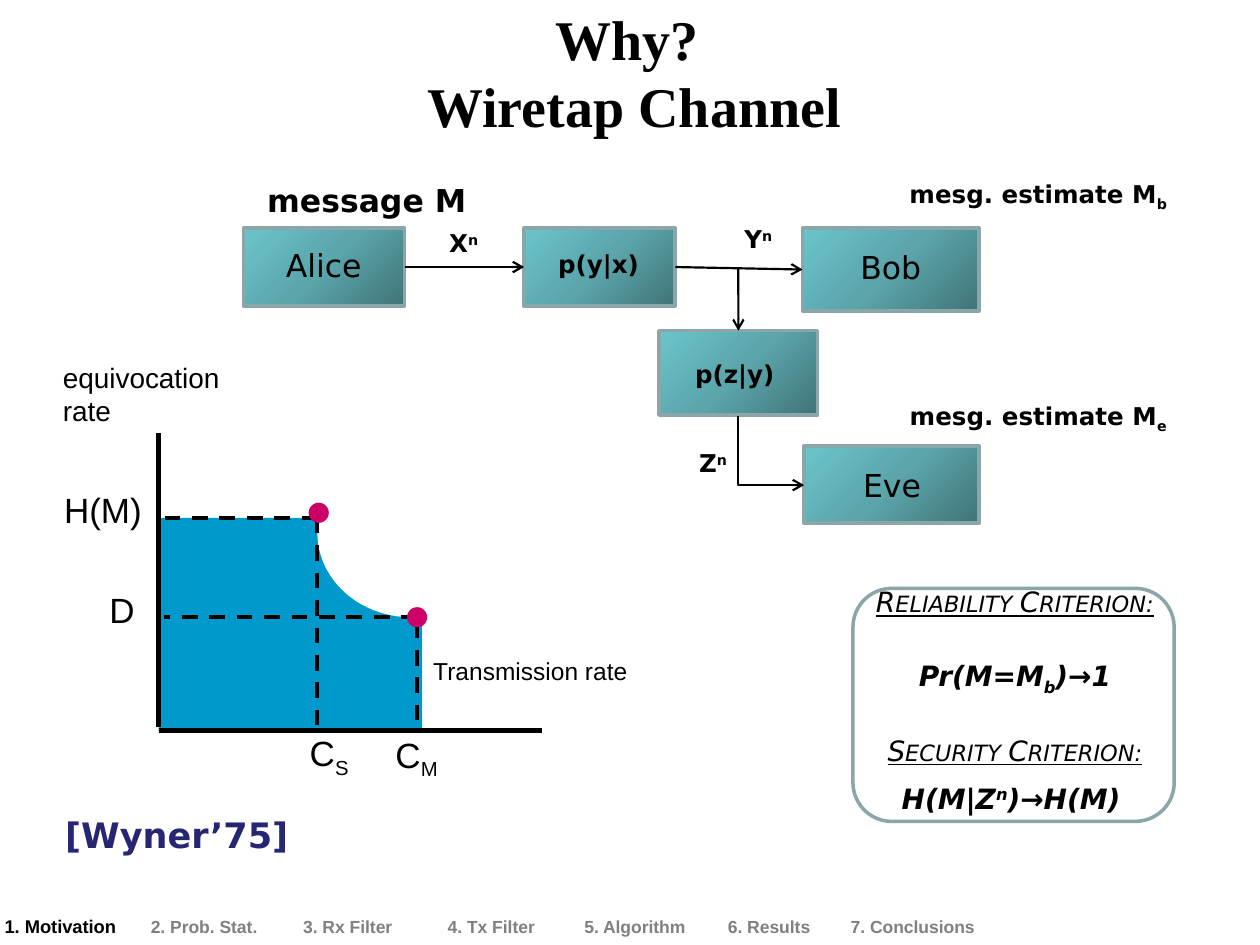
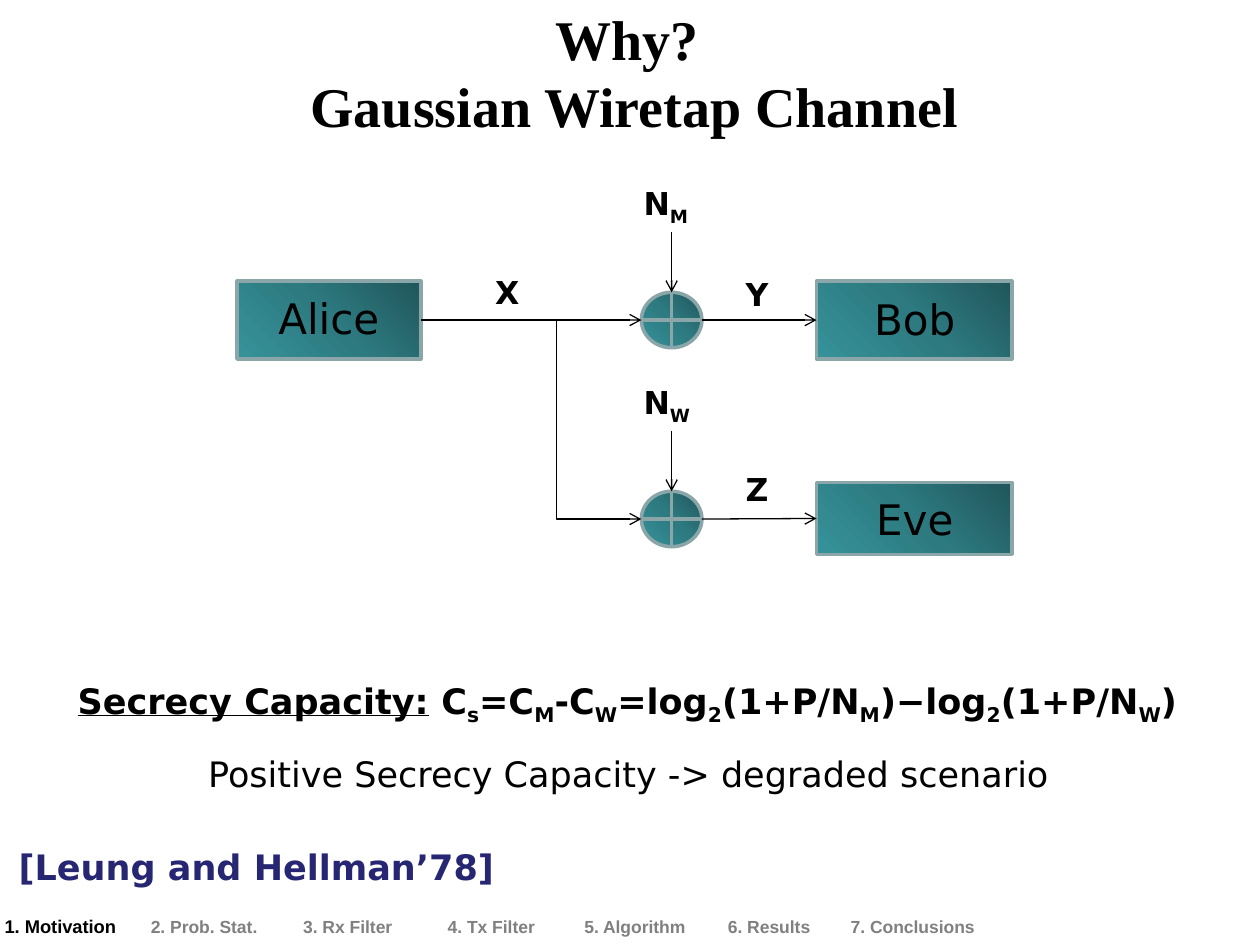
from lxml import etree
from pptx import Presentation
from pptx.dml.color import RGBColor
from pptx.enum.dml import MSO_LINE
from pptx.enum.shapes import MSO_CONNECTOR, MSO_SHAPE
from pptx.enum.text import MSO_ANCHOR, MSO_AUTO_SIZE, PP_ALIGN
from pptx.oxml.ns import qn
from pptx.util import Pt

LEFT, CENTER = PP_ALIGN.LEFT, PP_ALIGN.CENTER
TOP, MIDDLE = MSO_ANCHOR.TOP, MSO_ANCHOR.MIDDLE
FIT_TEXT = MSO_AUTO_SIZE.SHAPE_TO_FIT_TEXT
DASH = MSO_LINE.DASH
STRAIGHT, ELBOW = MSO_CONNECTOR.STRAIGHT, MSO_CONNECTOR.ELBOW
RECT, ROUND_RECT = MSO_SHAPE.RECTANGLE, MSO_SHAPE.ROUNDED_RECTANGLE
OVAL, SUM_NODE = MSO_SHAPE.OVAL, MSO_SHAPE.FLOWCHART_OR

# Connection sites of a rectangle
SITE_TOP, SITE_LEFT, SITE_RIGHT = 0, 1, 3

COLORS = {
    "black": "000000", "white": "FFFFFF", "gray": "808080",
    "outline": "8AA6A8", "citation": "262673",
    "region": "0099CC", "dot": "CC0066",
}
# Stops at 0, 50 and 100 percent
RADIAL_STOPS = ("407478", "5BA5AB", "6BC4CB")
LINEAR_STOPS = ("20565B", "2D7B81", "369299")

SANS, ARIAL, SERIF = "DejaVu Sans", "Arial", "Times New Roman"
SECTIONS = ("1. Motivation", "2. Prob. Stat.", "3. Rx Filter", "4. Tx Filter",
            "5. Algorithm", "6. Results", "7. Conclusions")
SECTION_WIDTHS = (82.08,) * 5 + (71.28, 92.88)


def sub(text):
    return text, -25000


def sup(text):
    return text, 30000


def color(name):
    return RGBColor.from_string(COLORS[name])


class SlideBuilder:
    """Holds the shared style and the slide being built."""

    def __init__(self, deck):
        self.deck = deck
        self.page = None

    def new_page(self, topic):
        self.page = self.deck.slides.add_slide(self.deck.slide_layouts[6])
        self.text(73.4, 0, 578.2, 82.1, ["Why? "], ["" + topic], size=32,
                  font=SERIF, bold=True, anchor=MIDDLE, fit=False)
        self.section_bar()

    def style(self, span, size, font, name, bold=False, italic=False):
        span.font.size = Pt(size)
        span.font.name = font
        span.font.color.rgb = color(name)
        span.font.bold = bold
        span.font.italic = italic

    def text(self, left, top, width, height, *lines, size=14, font=SANS,
             name="black", bold=False, italic=False, align=CENTER, anchor=TOP,
             wrap=True, fit=True, heading=False, small_caps=False):
        """Each line is a list of spans; heading underlines its first span."""
        box = self.page.shapes.add_textbox(Pt(left), Pt(top), Pt(width), Pt(height))
        frame = box.text_frame
        frame.word_wrap = wrap
        frame.vertical_anchor = anchor
        if fit:
            frame.auto_size = FIT_TEXT
        for number, spans in enumerate(lines):
            para = frame.add_paragraph() if number else frame.paragraphs[0]
            para.alignment = align
            for index, item in enumerate(spans):
                words, baseline = item if isinstance(item, tuple) else (item, 0)
                span = para.add_run()
                span.text = words
                self.style(span, size, font, name, bold, italic)
                if heading and index == 0:
                    span.font.underline = True
                properties = span._r.get_or_add_rPr()
                if baseline:
                    properties.set("baseline", str(baseline))
                if small_caps:
                    properties.set("cap", "small")

    def shape(self, kind, left, top, width, height, fill=None, outline=None):
        shape = self.page.shapes.add_shape(
            kind, Pt(left), Pt(top), Pt(width), Pt(height))
        shape.shadow.inherit = False
        if fill:
            shape.fill.solid()
            shape.fill.fore_color.rgb = color(fill)
        else:
            shape.fill.background()
        if outline:
            shape.line.color.rgb = color(outline)
            shape.line.width = Pt(2)
        else:
            shape.line.fill.background()
        return shape

    def block(self, left, top, width, height, kind=RECT, radial=False):
        """A diagram block with a gradient fill."""
        block = self.shape(kind, left, top, width, height, outline="outline")
        block.fill.gradient()
        gradient = block._element.spPr.find(qn("a:gradFill"))
        for child in list(gradient):
            gradient.remove(child)
        stops = etree.SubElement(gradient, qn("a:gsLst"))
        for index, value in enumerate(RADIAL_STOPS if radial else LINEAR_STOPS):
            stop = etree.SubElement(stops, qn("a:gs"), pos=str(index * 50000))
            etree.SubElement(stop, qn("a:srgbClr"), val=value)
        if radial:
            shade = etree.SubElement(gradient, qn("a:path"), path="circle")
            etree.SubElement(shade, qn("a:fillToRect"), l="100000", t="100000")
        else:
            etree.SubElement(gradient, qn("a:lin"), ang="8100000", scaled="0")
        return block

    def connector(self, kind, start, end, width, arrow=False, dash=None):
        line = self.page.shapes.add_connector(kind, *map(Pt, start + end))
        line.line.color.rgb = color("black")
        line.line.width = Pt(width)
        if dash:
            line.line.dash_style = dash
        if arrow:
            etree.SubElement(line.line._get_or_add_ln(), qn("a:tailEnd"), type="arrow")
        etree.SubElement(line._element.spPr, qn("a:effectLst"))
        return line

    def line(self, start, end, width, dash=None):
        self.connector(STRAIGHT, start, end, width, dash=dash)

    def arrow(self, start, end, width, source=None, target=None,
              target_site=SITE_LEFT):
        arrow = self.connector(STRAIGHT, start, end, width, arrow=True)
        if source is not None:
            arrow.begin_connect(source, SITE_RIGHT)
        if target is not None:
            arrow.end_connect(target, target_site)

    def down_then_right(self, start, end, width):
        """A one-bend arrow: a mirrored elbow turned by 270 degrees."""
        middle_x, middle_y = (start[0] + end[0]) / 2, (start[1] + end[1]) / 2
        half_run, half_drop = (end[0] - start[0]) / 2, (end[1] - start[1]) / 2
        elbow = self.connector(ELBOW, (middle_x + half_drop, middle_y - half_run),
                               (middle_x - half_drop, middle_y + half_run),
                               width, arrow=True)
        properties = elbow._element.spPr
        properties.find(qn("a:xfrm")).set("rot", "16200000")
        properties.find(qn("a:prstGeom")).set("prst", "bentConnector2")

    def section_bar(self):
        frame = self.page.shapes.add_table(
            1, len(SECTIONS), Pt(-6.5), Pt(520.6), Pt(sum(SECTION_WIDTHS)), Pt(20.9))
        table = frame.table
        table.first_row = table.horz_banding = False
        table.rows[0].height = Pt(20.9)
        for index, section in enumerate(SECTIONS):
            table.columns[index].width = Pt(SECTION_WIDTHS[index])
            cell = table.cell(0, index)
            cell.fill.background()
            para = cell.text_frame.paragraphs[0]
            para.alignment = CENTER
            span = para.add_run()
            span.text = section
            current = index == 0
            self.style(span, 10.5 if current else 10, ARIAL,
                       "black" if current else "gray", bold=True)


def build_wiretap(slide):
    slide.new_page("Wiretap Channel")

    # Channel blocks
    bob = slide.block(458.6, 130.3, 100.8, 47.5, radial=True)
    slide.block(459.4, 254.9, 100.1, 43.9, radial=True)
    main_channel = slide.block(299.5, 130.3, 86.4, 44.6, radial=True)
    alice = slide.block(139, 130.3, 92.2, 44.6, radial=True)
    tap_channel = slide.block(376.6, 189, 90.7, 48.2, radial=True)
    for left, top, person in ((118.8, 136.8, "Alice"), (442.8, 138.2, "Bob"),
                              (443.5, 262.8, "Eve")):
        slide.text(left, top, 132.5, 28.8, [person], size=18)
    for left, top, width, law in ((311.8, 139, 97.2, "p(y|x)"),
                                  (390.2, 201.6, 81.4, "p(z|y)")):
        slide.text(left, top, width, 24.5, [law], bold=True, align=LEFT)

    # Signal paths
    slide.arrow((231.2, 152.6), (299.5, 152.6), 1.25, alice, main_channel)
    slide.arrow((385.9, 152.6), (458.6, 154), 1.25, main_channel, bob)
    slide.arrow((421.9, 153.4), (421.9, 189), 1.25,
                target=tap_channel, target_site=SITE_TOP)
    slide.down_then_right((421.9, 237.6), (459.4, 277.2), 1.25)
    for left, top, signal in ((243.4, 126.7, "X"), (411.8, 124.6, "Y"),
                              (385.9, 252.7, "Z")):
        slide.text(left, top, 43.2, 24.5, [signal, sup("n")], bold=True)
    slide.text(124.6, 100.1, 169.9, 28.8, ["message M"], size=18, bold=True)
    for top, receiver in ((98.6, "b"), (225.4, "e")):
        slide.text(502.6, top, 181.4, 24.5,
                   ["mesg. estimate M", sub(receiver)], bold=True)

    # Criteria
    for top, height, criterion in ((330.5, 46, "Reliability Criterion:"),
                                   (415.4, 26.6, "Security Criterion:")):
        slide.text(489.6, top, 180.7, height, [criterion], size=16,
                   italic=True, heading=True, small_caps=True)
    for left, top, formula in (
            (489.6, 373, ["Pr(M=M", sub("b"), ")→1"]),
            (487.4, 442.8, ["H(M|Z", sup("n"), ")→H(M)"])):
        slide.text(left, top, 180.7, 26.6, formula, size=16, bold=True, italic=True)
    slide.shape(ROUND_RECT, 487.4, 336.2, 183.6, 133.2, outline="outline")
    slide.text(30.2, 461.5, 223.9, 31.7, ["[Wyner’75]"], size=20,
               name="citation", bold=True, align=LEFT)

    # Rate region: the white oval cuts the curved corner
    origin_x, secrecy_x, capacity_x = 90.7, 181.4, 238.3
    full_y, partial_y, base_y = 295.9, 352.8, 417.6
    slide.shape(RECT, origin_x, full_y, 150.5, base_y - full_y, fill="region")
    slide.line((origin_x, 247.7), (origin_x, 415.4), 3)
    slide.line((origin_x, base_y), (309.6, base_y), 3)
    slide.shape(OVAL, secrecy_x, 256.3, 108, 96.5, fill="white")
    for start, end in (((secrecy_x, full_y), (secrecy_x, 420.5)),
                       ((secrecy_x, full_y), (87.8, full_y)),
                       ((capacity_x, 355.7), (capacity_x, 414.7)),
                       ((capacity_x, partial_y), (93.6, partial_y))):
        slide.line(start, end, 2.25, DASH)
    for left, top in ((176.4, 287.3), (232.6, 347)):
        slide.shape(OVAL, left, top, 11.5, 11.5, fill="dot")

    # Graph labels
    for left, top, width, label in (
            (29.5, 275.8, 59, ["H(M)"]), (55.4, 332.6, 29.5, ["D"]),
            (169.9, 414.7, 37.4, ["C", sub("S")]),
            (218.9, 415.4, 39.6, ["C", sub("M")])):
        slide.text(left, top, width, 31, label, size=20, font=ARIAL,
                   align=LEFT, wrap=False)
    slide.text(240.5, 371.5, 127.4, 41, ["Transmission rate"], font=ARIAL, align=LEFT)
    slide.text(28.8, 202.3, 127.4, 46, ["equivocation rate"], size=16,
               font=ARIAL, align=LEFT)


def build_gaussian(slide):
    slide.new_page("Gaussian Wiretap Channel")
    main_y, tap_y = 182.9, 296.6
    node_left, node_width, node_height = 366.5, 34.6, 31.7
    node_x = node_left + node_width / 2

    # Sender and receivers
    alice = slide.block(135.4, 160.6, 105.1, 44.6)
    bob = slide.block(466.6, 160.6, 111.6, 44.6)
    eve = slide.block(466.6, 275.8, 111.6, 41)
    for left, top, person in ((121.7, 163.4, "Alice"), (456.5, 164.2, "Bob"),
                              (456.5, 278.6, "Eve")):
        slide.text(left, top, 132.5, 36, [person], size=24)

    # Noise nodes with their inputs and outputs
    for middle_y, receiver, noise in ((main_y, bob, "M"), (tap_y, eve, "W")):
        node_top = middle_y - node_height / 2
        slide.block(node_left, node_top, node_width, node_height, SUM_NODE)
        slide.arrow((node_left + node_width, middle_y), (466.6, middle_y), 0.75,
                    target=receiver)
        slide.arrow((node_x, node_top - 34.5), (node_x, node_top), 0.75)
        slide.text(360.7, node_top - 65.5, 46.1, 28.8, ["N", sub(noise)],
                   size=18, bold=True, align=LEFT)
    slide.arrow((240.5, main_y), (node_left, main_y), 0.75, alice)
    slide.down_then_right((318.2, main_y), (node_left, tap_y), 0.75)
    for left, top, signal in ((275.8, 152.6, "X"), (419, 153.4, "Y"), (419, 265, "Z")):
        slide.text(left, top, 28.8, 28.8, [signal], size=18, bold=True, align=LEFT)

    # Result
    slide.text(5, 384.5, 707, 31.7,
               ["Secrecy Capacity:", " C", sub("s"), "=C", sub("M"), "-C", sub("W"),
                "=log", sub("2"), "(1+P/N", sub("M"), ")−log", sub("2"),
                "(1+P/N", sub("W"), ")"], size=20, bold=True, heading=True)
    slide.text(5.8, 426.2, 707, 31.7,
               ["Positive Secrecy Capacity -> degraded scenario"], size=20)
    slide.text(3.6, 479.5, 316, 31.7, ["[Leung and Hellman’78]"], size=20,
               name="citation", bold=True, align=LEFT)


def main():
    deck = Presentation()
    deck.slide_width, deck.slide_height = Pt(720), Pt(540)
    slide = SlideBuilder(deck)
    build_wiretap(slide)
    build_gaussian(slide)
    deck.save("out.pptx")


if __name__ == "__main__":
    main()
